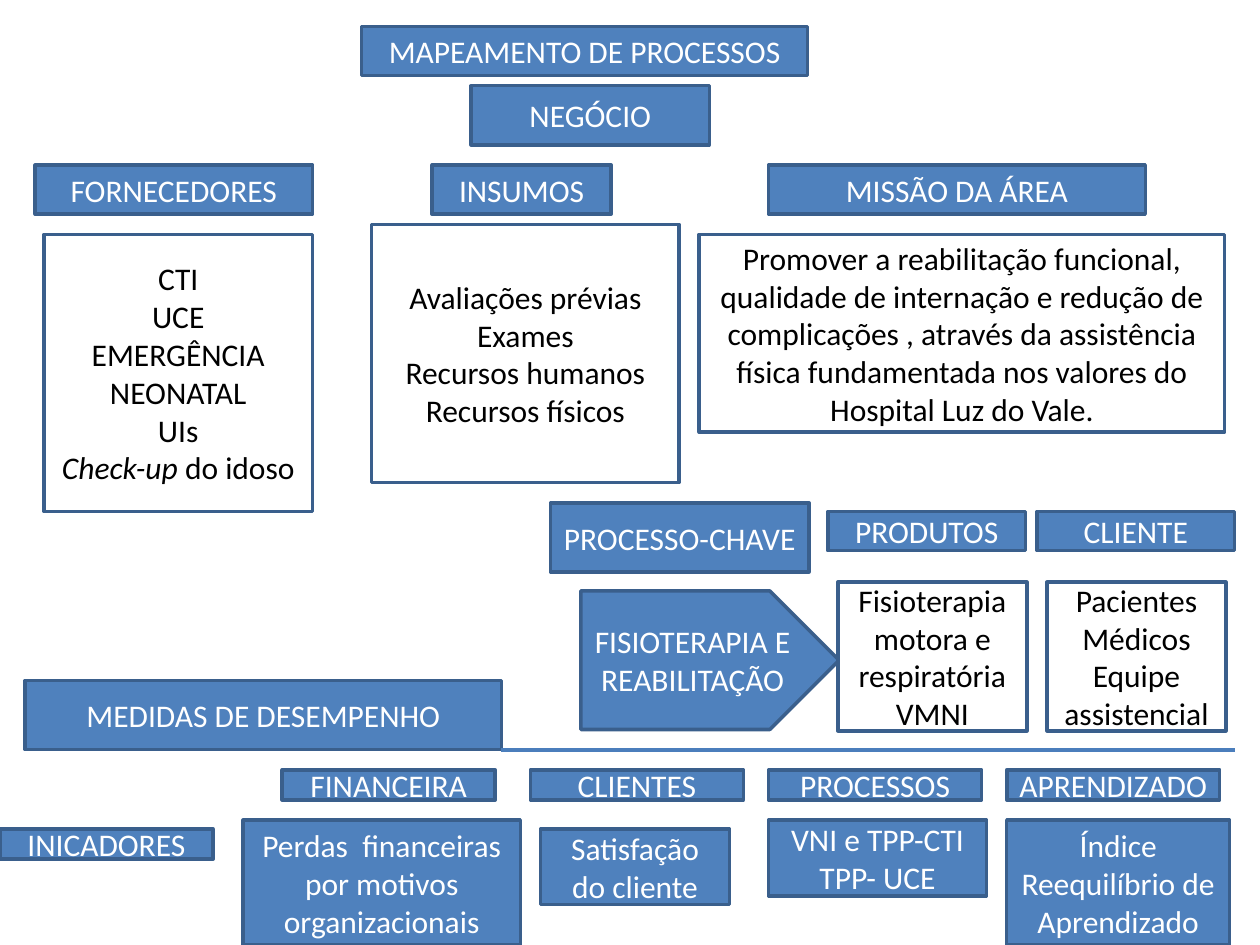
from lxml.etree import SubElement
from pptx import Presentation
from pptx.dml.color import RGBColor
from pptx.enum.shapes import MSO_CONNECTOR, MSO_SHAPE
from pptx.enum.text import MSO_ANCHOR, MSO_AUTO_SIZE, PP_ALIGN
from pptx.oxml.ns import qn
from pptx.util import Inches, Pt

COLORS = {"blue": "4F81BD", "border": "3A5F8C", "rule": "4B7EBC",
          "white": "FFFFFF", "black": "000000"}


def rgb(name):
    return RGBColor.from_string(COLORS[name])


def style(sp, paragraphs, fill="blue", ink="white"):
    """Fill and outline a shape, then write its centred paragraphs.

    A paragraph is a string, or a list of (text, italic) runs.
    """
    sp.fill.solid()
    sp.fill.fore_color.rgb = rgb(fill)
    sp.line.color.rgb = rgb("border")
    sp.line.width = Pt(2)
    tf = sp.text_frame
    tf.word_wrap = True
    tf.auto_size = MSO_AUTO_SIZE.NONE
    tf.vertical_anchor = MSO_ANCHOR.MIDDLE
    for i, content in enumerate(paragraphs):
        p = tf.add_paragraph() if i else tf.paragraphs[0]
        p.alignment = PP_ALIGN.CENTER
        p.font.name = "Calibri"
        p.font.size = Pt(18)
        p.font.color.rgb = rgb(ink)
        runs = [(content, None)] if isinstance(content, str) else content
        for text, italic in runs:
            r = p.add_run()
            r.text = text
            r.font.italic = italic


def add_box(s, x, y, w, h, *paragraphs, kind=MSO_SHAPE.RECTANGLE, **look):
    sp = s.shapes.add_shape(kind, Inches(x), Inches(y), Inches(w), Inches(h))
    sp.shadow.inherit = False
    style(sp, paragraphs, **look)


def add_panel(s, x, y, w, h, *paragraphs):
    add_box(s, x, y, w, h, *paragraphs, fill="white", ink="black")


def add_header(s, x, y, w):
    """Title and the business label under it."""
    title = s.shapes.title
    title.left, title.top = Inches(x), Inches(y)
    title.width, title.height = Inches(w), Inches(0.39)
    style(title, ["MAPEAMENTO DE PROCESSOS"])
    add_box(s, x + 0.87, y + 0.47, 1.89, 0.47, "NEGÓCIO")


def add_inputs(s, x, y):
    """Suppliers, inputs and mission: a label row over white panels."""
    for dx, w, label in [(0, 2.2, "FORNECEDORES"), (3.15, 1.42, "INSUMOS"),
                         (5.82, 2.99, "MISSÃO DA ÁREA")]:
        add_box(s, x + dx, y, w, 0.39, label)
    add_panel(s, x + 0.07, y + 0.55, 2.13, 2.2,
              "CTI", "UCE", "EMERGÊNCIA", "NEONATAL", "UIs",
              [("Check-up ", True), ("do idoso", False)])
    add_panel(s, x + 2.67, y + 0.47, 2.44, 2.05,
              "Avaliações prévias", "Exames",
              "Recursos humanos", "Recursos físicos")
    add_panel(s, x + 5.27, y + 0.55, 4.17, 1.57,
              "Promover a reabilitação funcional, qualidade de internação e "
              "redução de complicações , através da assistência física "
              "fundamentada nos valores do Hospital Luz do Vale.")


def add_process(s, x, y):
    """Key process arrow leading to products and clients."""
    add_box(s, x, y, 2.05, 0.55, "PROCESSO-CHAVE")
    for dx, label in [(2.2, "PRODUTOS"), (3.86, "CLIENTE")]:
        add_box(s, x + dx, y + 0.07, 1.57, 0.31, label)
    add_box(s, x + 0.24, y + 0.7, 2.05, 1.1, "FISIOTERAPIA E REABILITAÇÃO",
            kind=MSO_SHAPE.PENTAGON)
    add_panel(s, x + 2.28, y + 0.63, 1.5, 1.18,
              "Fisioterapia motora e respiratória", "VMNI")
    add_panel(s, x + 3.94, y + 0.63, 1.42, 1.18,
              "Pacientes", "Médicos", "Equipe assistencial")


def add_rule(s, x1, x2, y):
    line = s.shapes.add_connector(MSO_CONNECTOR.STRAIGHT, Inches(x1),
                                  Inches(y), Inches(x2), Inches(y))
    line.line.color.rgb = rgb("rule")
    line.line.width = Pt(2.25)
    SubElement(line._element.spPr, qn("a:effectLst"))


def add_measures(s, x, y, w):
    """Performance measures: heading, rule, and indicators by perspective."""
    add_box(s, x + 0.2, y, 3.78, 0.55, "MEDIDAS DE DESEMPENHO")
    add_rule(s, x + 3.98, x + w, y + 0.55)
    add_box(s, x, y + 1.18, 1.69, 0.24, "INICADORES")
    # label, label offset, then indicator box (dx, dy, w, h) and its lines
    perspectives = [
        ("FINANCEIRA", 2.24, (1.93, 1.11, 2.2, 0.99),
         ["Perdas  financeiras por motivos organizacionais"]),
        ("CLIENTES", 4.21, (4.29, 1.18, 1.5, 0.6), ["Satisfação do cliente"]),
        ("PROCESSOS", 6.1, (6.1, 1.11, 1.73, 0.6),
         ["VNI e TPP-CTI", "TPP- UCE"]),
        ("APRENDIZADO", 7.99, (7.99, 1.11, 1.77, 0.99),
         ["Índice Reequilíbrio de Aprendizado"]),
    ]
    for label, label_dx, (dx, dy, bw, bh), lines in perspectives:
        add_box(s, x + label_dx, y + 0.71, 1.69, 0.24, label)
        add_box(s, x + dx, y + dy, bw, bh, *lines)


def main():
    prs = Presentation()
    prs.slide_width, prs.slide_height = Inches(10), Inches(7.5)
    s = prs.slides.add_slide(prs.slide_layouts[5])
    add_header(s, 2.87, 0.21, 3.54)
    add_inputs(s, 0.28, 1.31)
    add_process(s, 4.37, 3.99)
    add_measures(s, 0, 5.4, 9.8)
    prs.save("out.pptx")


if __name__ == "__main__":
    main()
